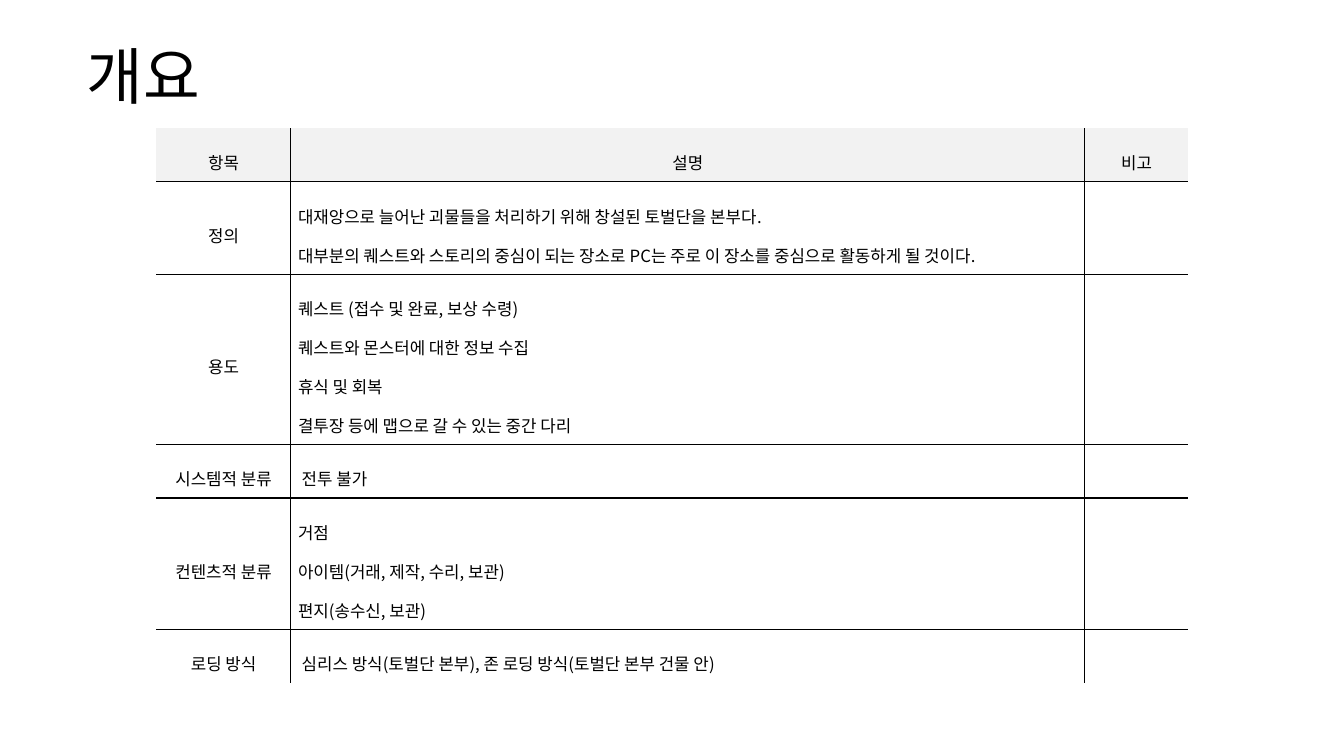
from lxml import etree
from pptx import Presentation
from pptx.dml.color import RGBColor
from pptx.enum.text import MSO_ANCHOR, PP_ALIGN
from pptx.oxml.ns import qn
from pptx.util import Cm, Pt

MIDDLE = MSO_ANCHOR.MIDDLE
LEFT, CENTER, JUSTIFY = PP_ALIGN.LEFT, PP_ALIGN.CENTER, PP_ALIGN.JUSTIFY

# Content
TITLE = "개요"
HEADINGS = ["항목", "설명", "비고"]
ITEMS = [
    ("정의", ["대재앙으로 늘어난 괴물들을 처리하기 위해 창설된 토벌단을 본부다.",
            "대부분의 퀘스트와 스토리의 중심이 되는 장소로 PC는 주로 이 장소를 중심으로 활동하게 될 것이다."]),
    ("용도", ["퀘스트 (접수 및 완료, 보상 수령)",
            "퀘스트와 몬스터에 대한 정보 수집",
            "휴식 및 회복",
            "결투장 등에 맵으로 갈 수 있는 중간 다리"]),
    ("시스템적 분류", [" 전투 불가"]),
    ("컨텐츠적 분류", ["거점",
                 "아이템(거래, 제작, 수리, 보관)",
                 "편지(송수신, 보관)"]),
    ("로딩 방식", [" 심리스 방식(토벌단 본부), 존 로딩 방식(토벌단 본부 건물 안)"]),
]

# Format
FONT = "Noto Sans CJK KR"
INK, HEADING_FILL = "000000", "F2F2F2"
NO_GRID_STYLE = "{2D5ABB26-0587-4C30-8999-92F81FD0307C}"
COLUMN_WIDTHS = [3.39, 20.01, 2.61]
LINE_HEIGHT, ROW_PADDING = 0.98, 0.37
INSET = Cm(0.18)
CELL_FORMAT = {"vertical_anchor": MIDDLE, "margin_left": INSET, "margin_right": INSET,
               "margin_top": INSET, "margin_bottom": INSET}


def color(hex_value):
    return RGBColor.from_string(hex_value)


def write(frame, lines, size, align, spacing):
    for index, line in enumerate(lines):
        paragraph = frame.paragraphs[0] if index == 0 else frame.add_paragraph()
        paragraph.alignment, paragraph.line_spacing = align, spacing
        run = paragraph.add_run()
        run.text = line
        run.font.name, run.font.size = FONT, Pt(size)
        run.font.color.rgb = color(INK)
        etree.SubElement(run.font._element, qn("a:ea"), typeface=FONT)


def draw_borders(cell, sides):
    properties = cell._tc.get_or_add_tcPr()
    for side in "LRTB":
        border = etree.SubElement(properties, qn(f"a:ln{side}"), w=str(Pt(1)))
        if side in sides:
            fill = etree.SubElement(border, qn("a:solidFill"))
            etree.SubElement(fill, qn("a:srgbClr"), val=INK)
        else:
            etree.SubElement(border, qn("a:noFill"))


deck = Presentation()
deck.slide_width, deck.slide_height = Cm(33.87), Cm(19.05)
slide = deck.slides.add_slide(deck.slide_layouts[6])

# Title
title = slide.shapes.add_textbox(Cm(1.93), Cm(0.81), Cm(30), Cm(2.39)).text_frame
title.word_wrap = True
title.vertical_anchor = MIDDLE
write(title, [TITLE], 44, LEFT, 0.9)

# Table: each row is as tall as its description
rows = [[[heading] for heading in HEADINGS]]
rows += [[[item], description, []] for item, description in ITEMS]
heights = [ROW_PADDING + LINE_HEIGHT * len(row[1]) for row in rows]
table = slide.shapes.add_table(len(rows), len(HEADINGS), Cm(3.94), Cm(3.23),
                               Cm(sum(COLUMN_WIDTHS)), Cm(sum(heights))).table
table.first_row = table.horz_banding = False
table._tbl.tblPr.find(qn("a:tableStyleId")).text = NO_GRID_STYLE
for column, width in zip(table.columns, COLUMN_WIDTHS):
    column.width = Cm(width)

last_row, last_column = len(rows) - 1, len(HEADINGS) - 1
for r, row in enumerate(rows):
    table.rows[r].height = Cm(heights[r])
    for c, lines in enumerate(row):
        cell = table.cell(r, c)
        for name, value in CELL_FORMAT.items():
            setattr(cell, name, value)
        # Only inner edges carry a line
        draw_borders(cell, ("L" if c > 0 else "") + ("R" if c < last_column else "")
                     + ("T" if r > 0 else "") + ("B" if r < last_row else ""))
        if r == 0:
            cell.fill.solid()
            cell.fill.fore_color.rgb = color(HEADING_FILL)
        else:
            cell.fill.background()
        write(cell.text_frame, lines, 12, JUSTIFY if r > 0 and c == 1 else CENTER, 1.6)

deck.save("out.pptx")
